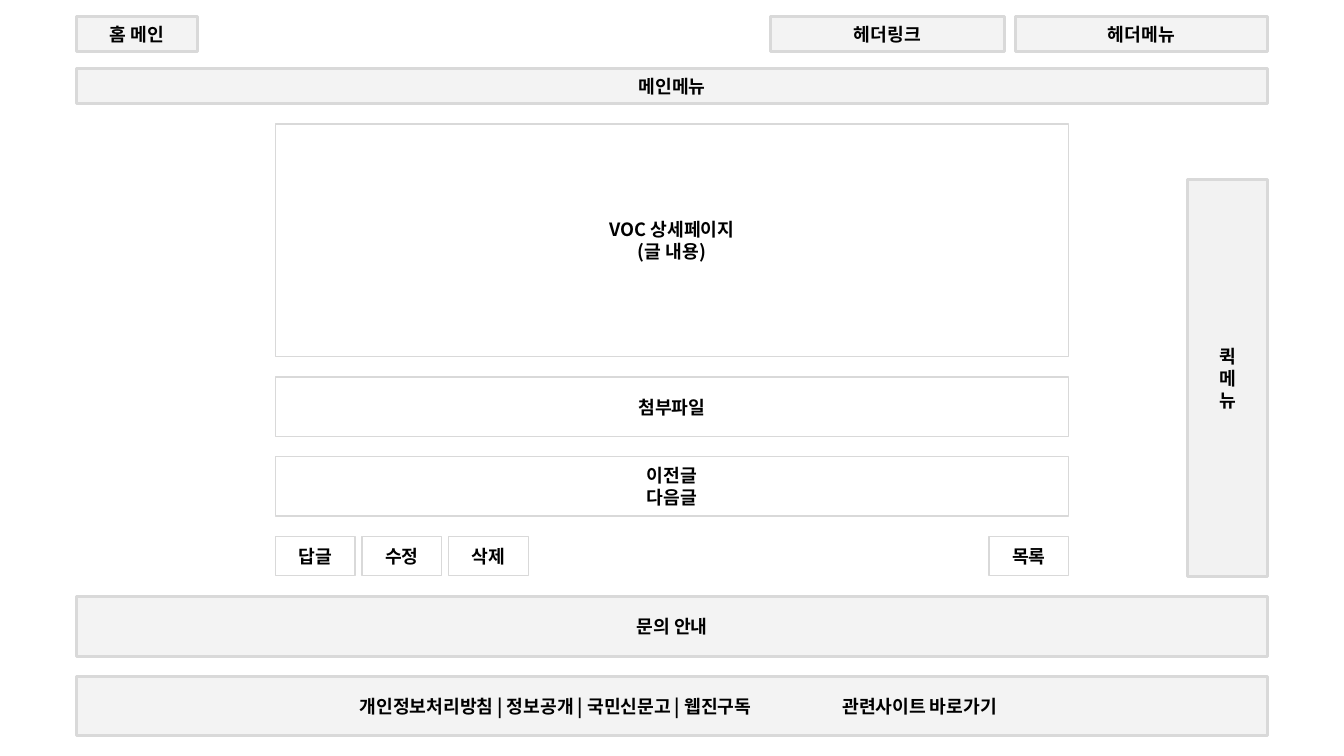
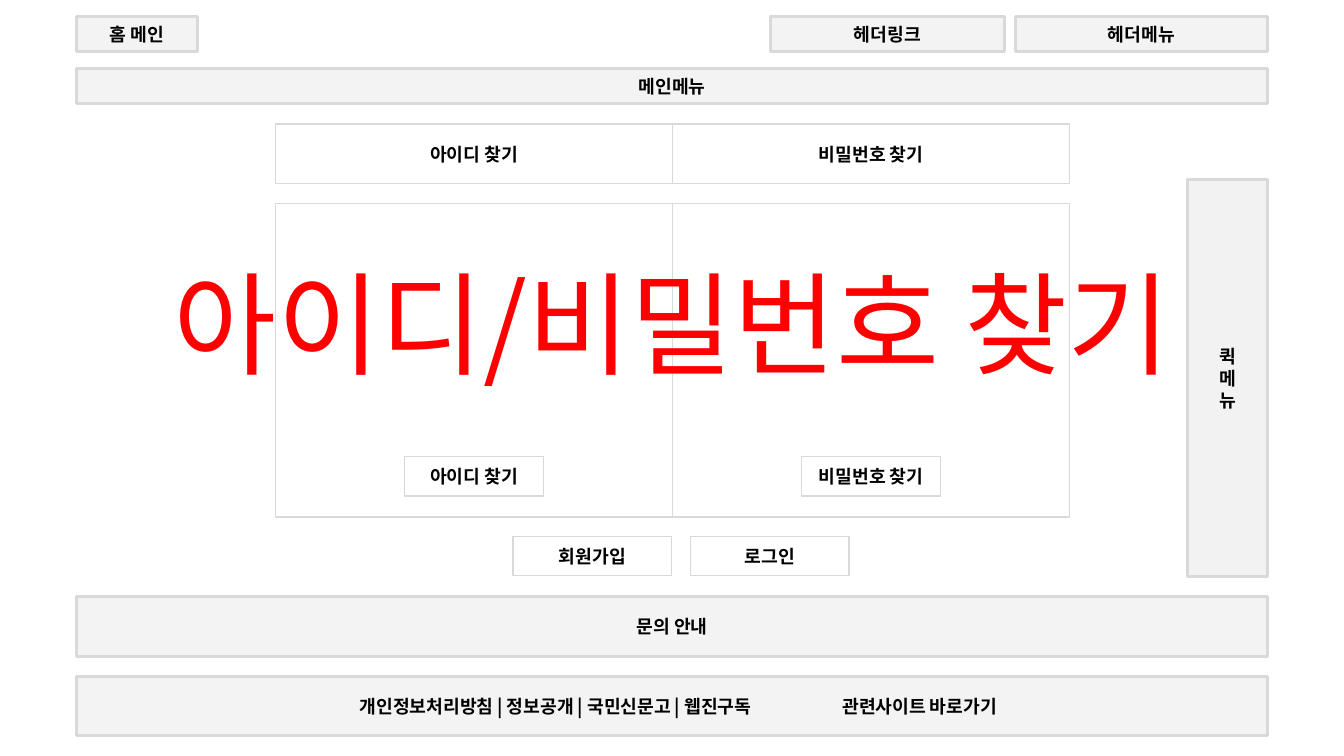
from lxml import etree
from pptx import Presentation
from pptx.dml.color import RGBColor
from pptx.enum.shapes import MSO_SHAPE
from pptx.enum.text import MSO_ANCHOR, PP_ALIGN
from pptx.oxml.ns import qn
from pptx.util import Pt

RECT = MSO_SHAPE.RECTANGLE
MIDDLE, TOP = MSO_ANCHOR.MIDDLE, MSO_ANCHOR.TOP
CENTER = PP_ALIGN.CENTER

EMU = 9144  # one px is 0.01 inch
FONT = "Noto Sans CJK KR"
BLACK, WHITE, RED = "000000", "FFFFFF", "FF0000"
GREY, DARK = "D9D9D9", "BFBFBF"

LEFT, WIDE = 76, 1181    # page frame
BODY, SPAN = 273, 787    # content column
HALF = 394
ROW, BAR, BTN = 59, 35, 39
FOOT = 532               # top of the button row


def px(*nums):
    return [n * EMU for n in nums]


def rgb(code):
    return RGBColor.from_string(code)


class Page:
    def __init__(self, deck):
        self.deck = deck
        self.slide = None

    def start(self):
        """Add a slide with the frame that every page shares."""
        self.slide = self.deck.slides.add_slide(self.deck.slide_layouts[6])
        self.band(LEFT, 16, 120, BAR, "홈 메인")
        self.band(764, 16, 232, BAR, "헤더링크")
        self.band(1007, 16, 250, BAR, "헤더메뉴")
        self.band(LEFT, 68, WIDE, BAR, "메인메뉴")
        self.band(1178, 178, 79, 394, "퀵\n메\n뉴", DARK, 20)
        self.band(LEFT, 592, WIDE, ROW, "문의 안내")
        self.band(LEFT, 671, WIDE, ROW)
        self.label(311, 671, 480, ROW,
                   "개인정보처리방침 | 정보공개 | 국민신문고 | 웹진구독")
        self.label(792, 671, 240, ROW, "관련사이트 바로가기")

    def put_text(self, shape, text, size=13, color=BLACK, bold=True,
                 anchor=MIDDLE):
        frame = shape.text_frame
        frame.word_wrap = True
        frame.vertical_anchor = anchor
        frame.text = text
        for para in frame.paragraphs:
            para.alignment = CENTER
            font = para.font
            font.size, font.bold, font.name = Pt(size), bold, FONT
            font.color.rgb = rgb(color)
            # Hangul takes its typeface from a:ea
            props = para._p.pPr.find(qn("a:defRPr"))
            etree.SubElement(props, qn("a:ea")).set("typeface", FONT)

    def box(self, x, y, w, h, text="", fill=WHITE, line=1):
        shape = self.slide.shapes.add_shape(RECT, *px(x, y, w, h))
        shape.shadow.inherit = False
        shape.fill.solid()
        shape.fill.fore_color.rgb = rgb(fill)
        shape.line.color.rgb = rgb(GREY)
        shape.line.width = Pt(line)
        if text:
            self.put_text(shape, text)
        return shape

    def band(self, x, y, w, h, text="", fill=GREY, alpha=30):
        """Draw a see-through box with a thick edge; alpha is in percent."""
        shape = self.box(x, y, w, h, text, fill, 2)
        color = shape._element.spPr.find(qn("a:solidFill"))[0]
        etree.SubElement(color, qn("a:alpha")).set("val", str(alpha * 1000))

    def label(self, x, y, w, h, text, **style):
        shape = self.slide.shapes.add_textbox(*px(x, y, w, h))
        self.put_text(shape, text, **style)


def detail(page):
    page.start()
    page.box(BODY, 123, SPAN, 231, "VOC 상세페이지\n(글 내용)")
    page.box(BODY, 374, SPAN, ROW, "첨부파일")
    page.box(BODY, 453, SPAN, ROW, "이전글\n다음글")
    for i, name in enumerate(["답글", "수정", "삭제"]):
        page.box(BODY + i * 86, FOOT, 79, BTN, name)
    page.box(BODY + SPAN - 79, FOOT, 79, BTN, "목록")


def finder(page):
    page.start()
    tabs = [(BODY, "아이디 찾기"), (BODY + HALF, "비밀번호 찾기")]
    for x, name in tabs:
        page.box(x, 123, HALF, ROW, name)
        page.box(x, 202, HALF, 311)
    page.label(51, 248, 1232, 145, "아이디/비밀번호 찾기",
               size=80, color=RED, bold=False, anchor=TOP)
    for x, name in tabs:
        page.box(x + 128, 453, 138, BTN, name)
    for x, name in [(509, "회원가입"), (685, "로그인")]:
        page.box(x, FOOT, 157, BTN, name)


def main():
    deck = Presentation()
    deck.slide_width, deck.slide_height = px(1333, 750)
    page = Page(deck)
    detail(page)
    finder(page)
    deck.save("out.pptx")


if __name__ == "__main__":
    main()
